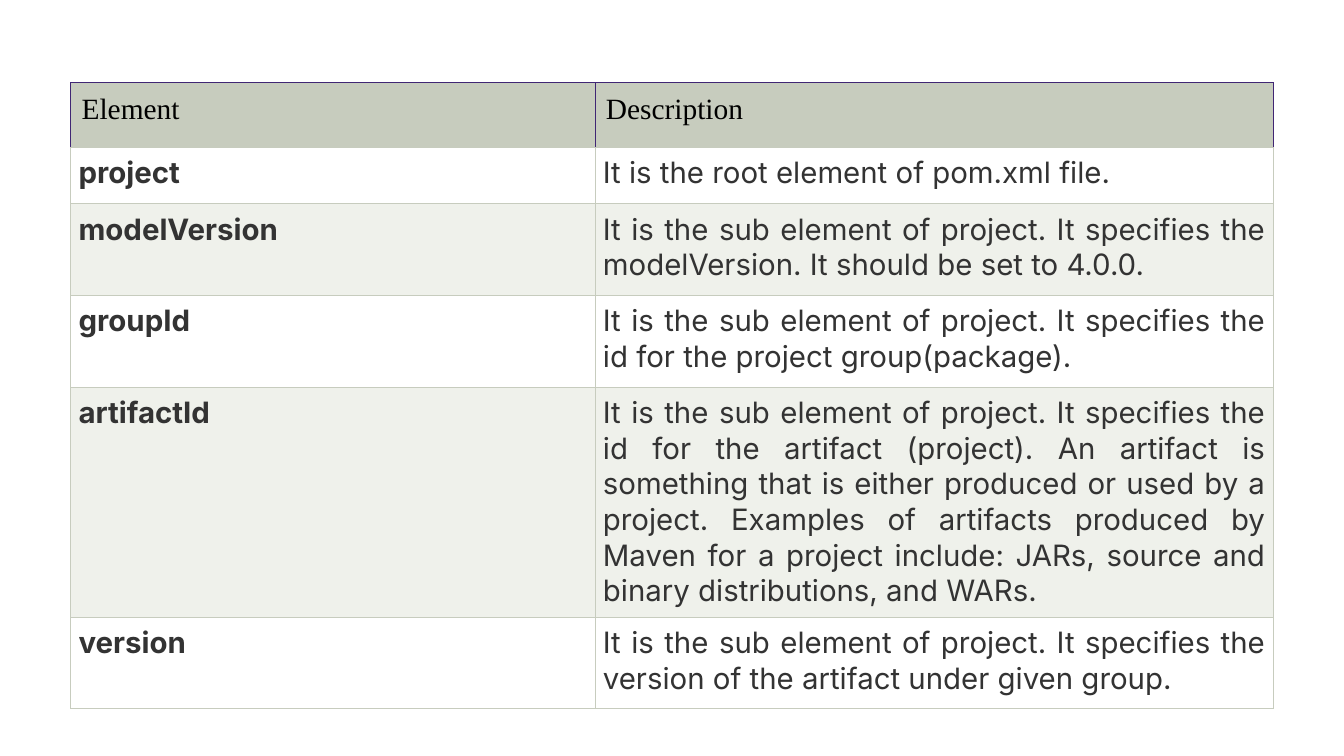
from dataclasses import dataclass

from lxml.etree import SubElement
from pptx import Presentation
from pptx.dml.color import RGBColor as RGB
from pptx.enum.text import PP_ALIGN as Align
from pptx.oxml.ns import qn
from pptx.util import Inches, Pt


@dataclass(frozen=True)
class Theme:
    header_font: str = "Times New Roman"
    body_font: str = "Inter"
    size: float = 21
    header_ink: str = "000000"
    body_ink: str = "333333"
    header_fill: str = "C7CCBE"
    row_fills: tuple = ("FFFFFF", "EFF1EB")
    grid: str = "C7CCBE"
    header_line: str = "402674"
    line_width: float = 0.6


class Deck:
    def __init__(self, theme):
        self.theme = theme
        self.prs = Presentation()
        self.prs.slide_width = Inches(13.33)
        self.prs.slide_height = Inches(7.5)
        self.s = self.prs.slides.add_slide(self.prs.slide_layouts[6])

    def borders(self, cell, colors):
        props = cell._tc.get_or_add_tcPr()
        for i, (side, color) in enumerate(zip("LRTB", colors)):
            ln = SubElement(props, qn(f"a:ln{side}"), w=str(Pt(self.theme.line_width)))
            fill = SubElement(ln, qn("a:solidFill"))
            SubElement(fill, qn("a:srgbClr"), val=color)
            props.insert(i, ln)

    def cell(self, cell, text, fill, inset, font, ink, bold, align, lines):
        cell.fill.solid()
        cell.fill.fore_color.rgb = RGB.from_string(fill)
        cell.margin_left = cell.margin_right = Inches(inset)
        cell.margin_top = cell.margin_bottom = Inches(inset)
        cell.text_frame.text = text
        p = cell.text_frame.paragraphs[0]
        p.alignment = align
        r = p.runs[0]
        r.font.name = font
        r.font.size = Pt(self.theme.size)
        r.font.bold = bold
        r.font.color.rgb = RGB.from_string(ink)
        self.borders(cell, lines)

    def table(self, left, top, widths, heights, rows):
        t = self.theme
        frame = self.s.shapes.add_table(
            len(rows), len(widths), Inches(left), Inches(top),
            Inches(sum(widths)), Inches(sum(heights)))
        table = frame.table
        for column, width in zip(table.columns, widths):
            column.width = Inches(width)
        for row, height in zip(table.rows, heights):
            row.height = Inches(height)
        header_lines = [t.header_line] * 3 + [t.grid]
        for i, row in enumerate(rows):
            for j, text in enumerate(row):
                if i == 0:
                    self.cell(table.cell(i, j), text, t.header_fill, 0.11, t.header_font,
                              t.header_ink, False, Align.LEFT, header_lines)
                else:
                    self.cell(table.cell(i, j), text, t.row_fills[(i - 1) % 2], 0.08,
                              t.body_font, t.body_ink, j == 0, Align.JUSTIFY, [t.grid] * 4)

    def save(self):
        self.prs.save("out.pptx")


ROWS = [
    ("Element", "Description"),
    ("project", "It is the root element of pom.xml file."),
    ("modelVersion", "It is the sub element of project. It specifies the modelVersion. "
                     "It should be set to 4.0.0."),
    ("groupId", "It is the sub element of project. It specifies the id for the "
                "project group(package)."),
    ("artifactId", "It is the sub element of project. It specifies the id for the artifact "
                   "(project). An artifact is something that is either produced or used by a "
                   "project. Examples of artifacts produced by Maven for a project include: "
                   "JARs, source and binary distributions, and WARs."),
    ("version", "It is the sub element of project. It specifies the version of the "
                "artifact under given group."),
]


def main():
    deck = Deck(Theme())
    deck.table(0.7, 0.82, [5.2, 6.73], [0.64, 0.56, 0.91, 0.91, 1.94, 0.91], ROWS)
    deck.save()


if __name__ == "__main__":
    main()
